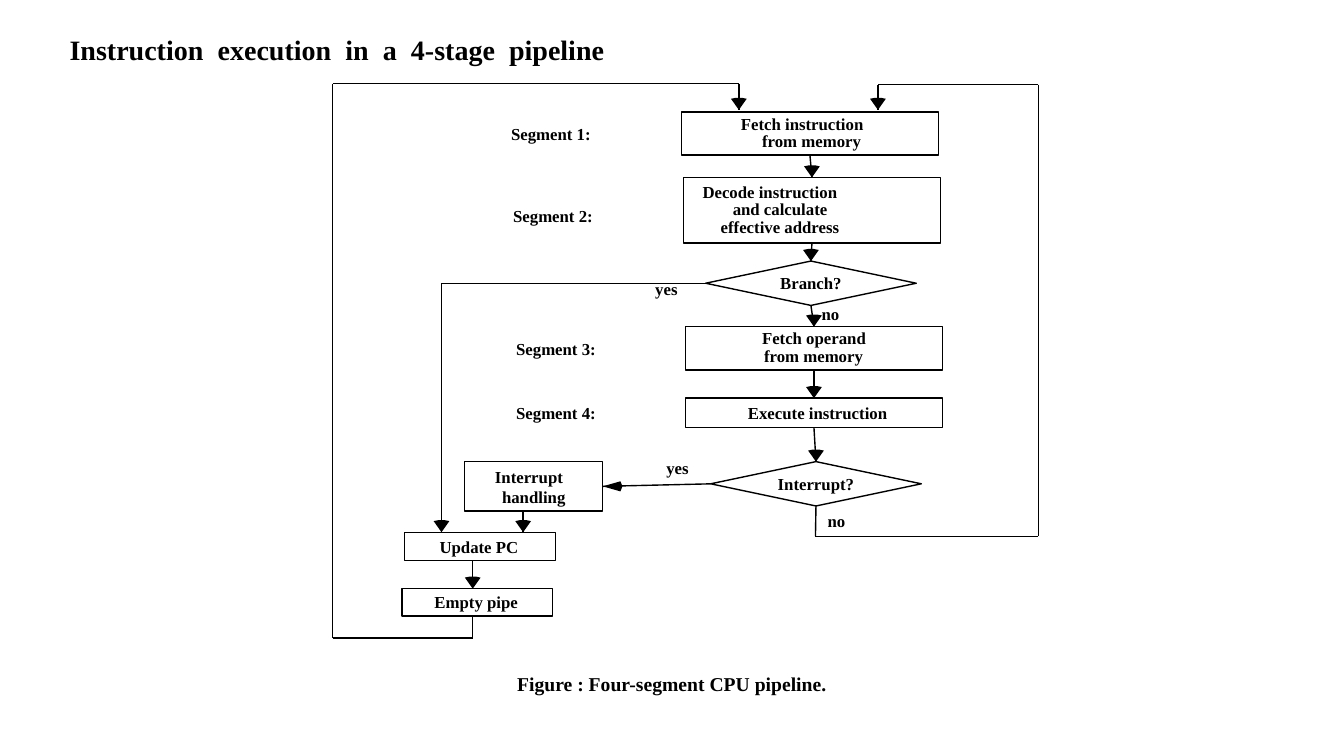
from dataclasses import dataclass

from pptx import Presentation
from pptx.dml.color import RGBColor
from pptx.enum.shapes import MSO_CONNECTOR as Connector, MSO_SHAPE as Preset
from pptx.enum.text import MSO_ANCHOR as Anchor, MSO_AUTO_SIZE as AutoSize, PP_ALIGN as Align
from pptx.oxml.ns import qn
from pptx.util import Inches, Pt

TOP, LEFT, BOTTOM, RIGHT = range(4)
COLUMNS, ROWS = 133.33, 75


@dataclass(frozen=True)
class Theme:
    font: str = "Times New Roman"
    ink: RGBColor = RGBColor(0, 0, 0)
    title: int = 20
    caption: int = 14
    label: int = 12
    line: int = 1
    word_gap: int = 5


class FlowSlide:
    """Draws on one slide, in grid columns and rows."""

    def __init__(self, presentation, theme):
        self.theme = theme
        self.slide = presentation.slides.add_slide(presentation.slide_layouts[5])
        self.shapes = self.slide.shapes
        self.column = presentation.slide_width / COLUMNS
        self.row = presentation.slide_height / ROWS

    def point(self, x, y):
        return round(x * self.column), round(y * self.row)

    def area(self, x, y, width, height):
        return *self.point(x, y), *self.point(width, height)

    def style(self, paragraph, size, align=Align.LEFT):
        paragraph.alignment = align
        font = paragraph.font
        font.name, font.size, font.bold = self.theme.font, Pt(size), True
        font.color.rgb = self.theme.ink

    def title(self, text, *area):
        title = self.shapes.title
        title.left, title.top, title.width, title.height = self.area(*area)
        frame = title.text_frame
        frame.auto_size, frame.word_wrap = AutoSize.NONE, False
        frame.vertical_anchor = Anchor.TOP
        paragraph = frame.paragraphs[0]
        self.style(paragraph, self.theme.title)
        # Widened spaces between the words
        for index, word in enumerate(text.split()):
            if index:
                space = paragraph.add_run()
                space.text = " "
                space.font._element.set("spc", str(self.theme.word_gap * 100))
            paragraph.add_run().text = word

    def label(self, text, x, y, width=12, height=3.2, size=None, align=Align.LEFT):
        frame = self.shapes.add_textbox(*self.area(x, y, width, height)).text_frame
        frame.word_wrap = True
        frame.margin_left = frame.margin_right = Inches(0.12)
        frame.margin_top = frame.margin_bottom = Inches(0.06)
        frame.text = text
        self.style(frame.paragraphs[0], size or self.theme.label, align)

    def node(self, preset, area, lines, align=Align.LEFT, pitch=12.5):
        """A step whose lines are pairs of text and left indent in columns."""
        shape = self.shapes.add_shape(preset, *self.area(*area))
        shape.shadow.inherit = False
        shape.fill.background()
        shape.line.color.rgb = self.theme.ink
        shape.line.width = Pt(self.theme.line)
        frame = shape.text_frame
        frame.margin_left = frame.margin_right = frame.margin_top = frame.margin_bottom = 0
        frame.vertical_anchor = Anchor.MIDDLE
        frame.text = "\n".join(text for text, _ in lines)
        for paragraph, (_, indent) in zip(frame.paragraphs, lines):
            self.style(paragraph, self.theme.label, align)
            paragraph._p.get_or_add_pPr().set("marL", str(round(indent * self.column)))
            if len(lines) > 1:
                paragraph.line_spacing = Pt(pitch)
        return shape

    def box(self, area, *lines, pitch=12.5):
        return self.node(Preset.RECTANGLE, area, lines, pitch=pitch)

    def decision(self, area, text):
        return self.node(Preset.DIAMOND, area, [(text, 0)], Align.CENTER)

    def line(self, start, end):
        connector = self.shapes.add_connector(
            Connector.STRAIGHT, *self.point(*start), *self.point(*end))
        connector.line.color.rgb = self.theme.ink
        connector.line.width = Pt(self.theme.line)
        properties = connector._element.spPr
        properties.append(properties.makeelement(qn("a:effectLst"), {}))
        return connector

    def head(self, x, y, leftward=False):
        """A solid arrowhead with a bulging back and its tip at x, y."""
        if leftward:
            outline = [(1.75, -0.5), (1.95, 0), (1.75, 0.5)]
        else:
            outline = [(-0.78, -1.1), (-0.3, -1.2), (0.3, -1.2), (0.78, -1.1)]
        builder = self.shapes.build_freeform(*self.point(x, y), scale=1)
        builder.add_line_segments([self.point(x + dx, y + dy) for dx, dy in outline])
        shape = builder.convert_to_shape()
        shape.shadow.inherit = False
        shape.fill.solid()
        shape.fill.fore_color.rgb = self.theme.ink
        shape.line.fill.background()

    def join(self, source, target, leave=BOTTOM, enter=TOP):
        connector = self.line((0, 0), (1, 1))
        connector.begin_connect(source, leave)
        connector.end_connect(target, enter)
        self.head(connector.end_x / self.column, connector.end_y / self.row, enter == RIGHT)

    def route(self, *points, source=None, leave=BOTTOM, arrow=True):
        """Straight legs through the points, the first one joined to source."""
        legs = [self.line(start, end) for start, end in zip(points, points[1:])]
        if source is not None:
            legs[0].begin_connect(source, leave)
        if arrow:
            self.head(*points[-1])


def main():
    presentation = Presentation()
    presentation.slide_width, presentation.slide_height = Inches(13.33), Inches(7.5)
    theme = Theme()
    flow = FlowSlide(presentation, theme)

    # Title and caption
    flow.title("Instruction execution in a 4-stage pipeline", 5.9, 2.7, 55.4, 4.4)
    flow.label("Figure : Four-segment CPU pipeline.", 0, 66.1, COLUMNS, 3.4,
               theme.caption, Align.CENTER)

    # Pipeline steps
    fetch = flow.box((67.6, 11.1, 25.5, 4.3), ("Fetch instruction", 5.9), ("from memory", 8))
    decode = flow.box((67.8, 17.6, 25.5, 6.5), ("Decode instruction", 1.9),
                      ("and calculate", 4.9), ("effective address", 3.7))
    branch = flow.decision((70, 25.9, 20.9, 4.4), "Branch?")
    operand = flow.box((68, 32.4, 25.5, 4.3), ("Fetch operand", 7.6), ("from memory", 7.8))
    execute = flow.box((68, 39.5, 25.5, 2.9), ("Execute instruction", 6.2))
    interrupt = flow.decision((70.5, 45.8, 20.9, 4.4), "Interrupt?")

    # Branch and interrupt handling
    handling = flow.box((46.1, 45.8, 13.7, 4.9), ("Interrupt", 3), ("handling", 3.7), pitch=14.4)
    flow.box((40.1, 52.8, 15, 2.8), ("Update PC", 3.5))
    flow.box((39.9, 58.4, 14.9, 2.7), ("Empty pipe", 3.2))

    # Arrows between neighbouring steps
    steps = [fetch, decode, branch, operand, execute, interrupt]
    for source, target in zip(steps, steps[1:]):
        flow.join(source, target)
    flow.join(interrupt, handling, LEFT, RIGHT)
    flow.route((51.9, 50.7), (51.9, 52.8))
    flow.route((46.9, 55.6), (46.9, 58.4))

    # Long routes
    flow.route((70, 28.1), (43.8, 28.1), (43.8, 52.8), source=branch, leave=LEFT)
    flow.route((80.9, 50.2), (80.9, 53.2), (103, 53.2), (103, 8.4), (87.1, 8.4), (87.1, 10.9),
               source=interrupt)
    flow.route((46.9, 61.1), (46.9, 63.3), (33, 63.3), (33, 8.3), (73.3, 8.3), (73.3, 10.9))

    # Segment and answer labels
    segments = [(49.5, 11.7), (49.7, 19.8), (50, 33), (50, 39.4)]
    for number, place in enumerate(segments, 1):
        flow.label(f"Segment {number}:", *place)
    for answer, x, y in [("yes", 63.8, 27.1), ("no", 80.3, 29.5),
                         ("yes", 64.9, 44.8), ("no", 80.9, 50.1)]:
        flow.label(answer, x, y, 7)

    presentation.save("out.pptx")


if __name__ == "__main__":
    main()
